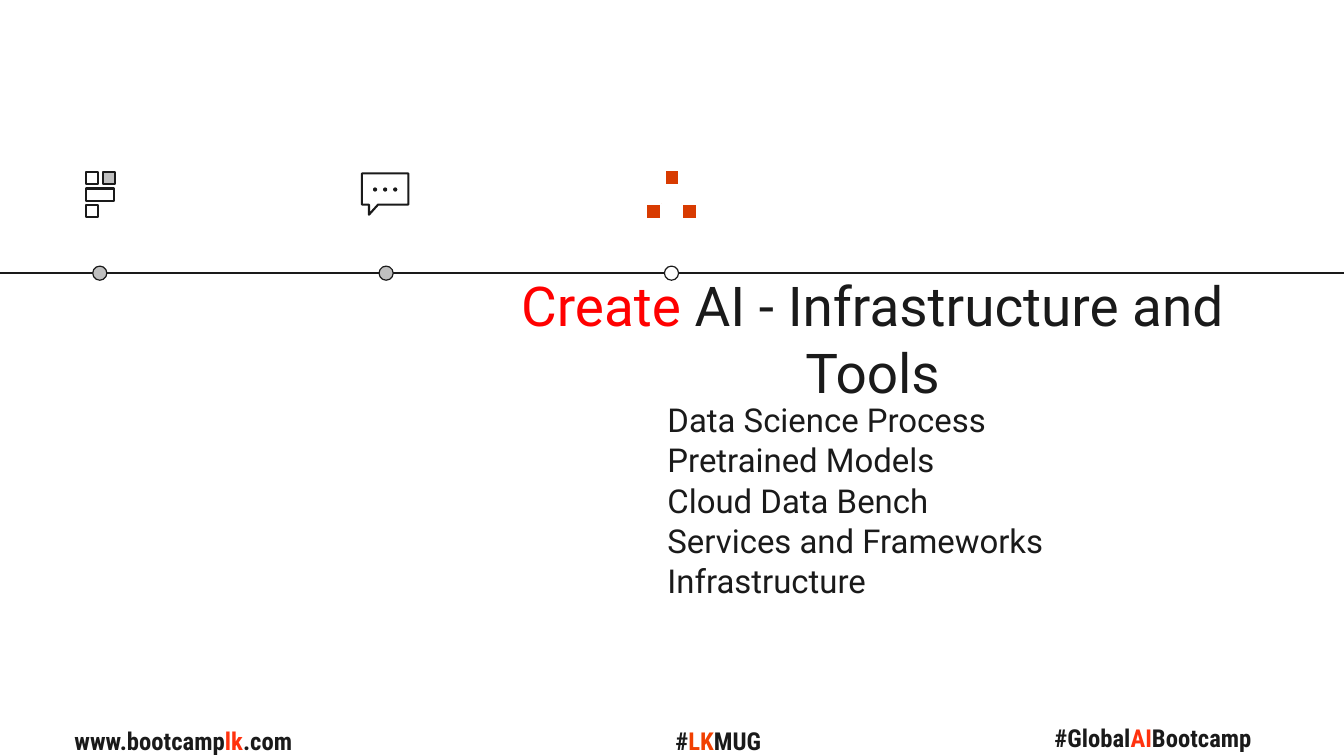
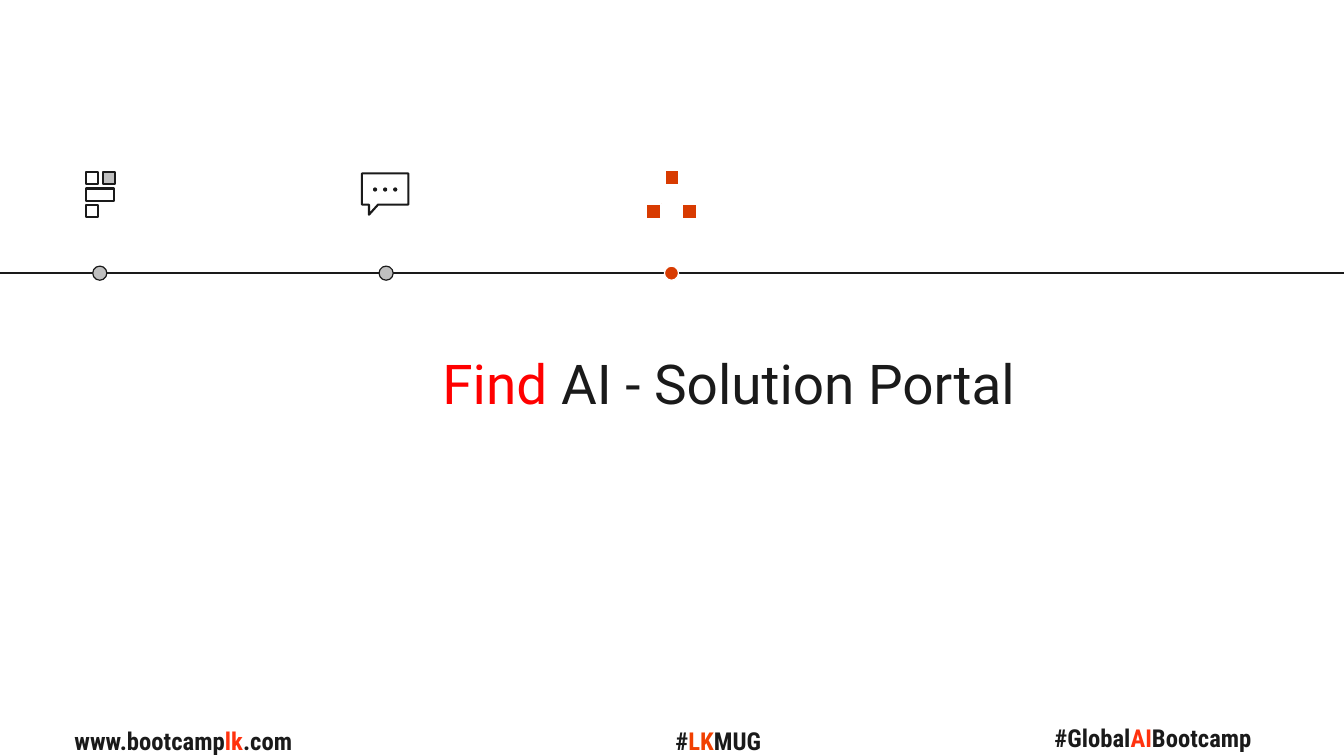
from lxml import etree
from pptx import Presentation
from pptx import util as u
from pptx.dml.color import RGBColor
from pptx.enum import shapes, text
from pptx.oxml import ns

INK = RGBColor(0x1A, 0x1A, 0x1A)
WHITE = RGBColor(0xFF, 0xFF, 0xFF)
GRAY = RGBColor(0xBF, 0xBF, 0xBF)
ORANGE = RGBColor(0xD8, 0x3B, 0x01)
RED = RGBColor(0xFF, 0x00, 0x00)
FOOTER_RED = RGBColor(0xFF, 0x32, 0x0E)
FOOTER_ORANGE = RGBColor(0xF1, 0x40, 0x01)

TITLE_LAYOUT, LIST_LAYOUT = 5, 1
LINE_Y = 2.71
DOT = 0.14
DOT_LEFTS = (0.92, 3.76, 6.59)
LINE_SPACING = 1.02

SLIDES = [
    {
        "title": ("Create", " AI - Infrastructure and Tools"),
        "title_box": (4.65, 2.75, 8.01, 1.2),
        "milestone": (WHITE, INK),
        "topics": [
            "Data Science Process",
            "Pretrained Models",
            "Cloud Data Bench",
            "Services and Frameworks",
            "Infrastructure",
        ],
    },
    {
        "title": ("Find", " AI - Solution Portal"),
        "title_box": (3.59, 3.55, 7.28, 0.48),
        "milestone": (ORANGE, WHITE),
        "topics": [],
    },
]

# Footer: left, top, width, wrap, then text and colour of each run
FOOTERS = [
    (0.64, 7.15, 3.5, True,
     [("www.bootcamp", INK), ("lk", FOOTER_RED), (".com", INK)]),
    (10.36, 7.12, 2.24, False,
     [("#Global", INK), ("AI", FOOTER_RED), ("Bootcamp", INK)]),
    (6.6, 7.15, 1.08, False,
     [("#", INK), ("LK", FOOTER_ORANGE), ("MUG", INK)]),
]


def style_shape(shape, fill, line, width):
    shape.shadow.inherit = False
    if fill is None:
        shape.fill.background()
    else:
        shape.fill.solid()
        shape.fill.fore_color.rgb = fill
    shape.line.color.rgb = line
    shape.line.width = u.Pt(width)


def write_runs(paragraph, runs, font_name, size, bold=False):
    paragraph.font.name = font_name
    paragraph.font.size = u.Pt(size)
    paragraph.font.bold = bold
    for words, color in runs:
        run = paragraph.add_run()
        run.text = words
        run.font.color.rgb = color


presentation = Presentation()
presentation.slide_width = u.Inches(13.33)
presentation.slide_height = u.Inches(7.5)
master_tree = presentation.slide_master.shapes.element

for number, content in enumerate(SLIDES):
    layout = LIST_LAYOUT if content["topics"] else TITLE_LAYOUT
    slide = presentation.slides.add_slide(presentation.slide_layouts[layout])

    # Footers, made once and moved to the master
    if number == 0:
        for left, top, width, wrap, runs in FOOTERS:
            footer = slide.shapes.add_textbox(
                u.Inches(left), u.Inches(top), u.Inches(width), u.Inches(0.4))
            footer.text_frame.word_wrap = wrap
            footer.text_frame.auto_size = text.MSO_AUTO_SIZE.SHAPE_TO_FIT_TEXT
            write_runs(footer.text_frame.paragraphs[0], runs,
                       "Roboto Condensed", 17.6, bold=True)
            master_tree.append(footer.element)

    # Title and list placeholders
    frames = [(slide.shapes.title, content["title_box"])]
    if content["topics"]:
        frames.append((slide.placeholders[1], (6.62, 3.97, 6.05, 1.97)))
    for placeholder, box in frames:
        placeholder.left, placeholder.top, placeholder.width, placeholder.height = map(
            u.Inches, box)
        frame = placeholder.text_frame
        frame.word_wrap = True
        frame.auto_size = text.MSO_AUTO_SIZE.NONE
        frame.vertical_anchor = text.MSO_ANCHOR.MIDDLE
        frame.margin_left = frame.margin_right = 0

    paragraph = slide.shapes.title.text_frame.paragraphs[0]
    paragraph.alignment = text.PP_ALIGN.CENTER
    paragraph.line_spacing = LINE_SPACING
    write_runs(paragraph, zip(content["title"], (RED, INK)), "Roboto", 39.2)

    for index, topic in enumerate(content["topics"]):
        frame = slide.placeholders[1].text_frame
        paragraph = frame.add_paragraph() if index else frame.paragraphs[0]
        paragraph.space_before = u.Pt(0)
        paragraph.line_spacing = LINE_SPACING
        properties = paragraph._p.get_or_add_pPr()
        properties.set("marL", "0")
        properties.set("indent", "0")
        etree.SubElement(properties, ns.qn("a:buNone"))
        write_runs(paragraph, [(topic, INK)], "Roboto", 23.5)

    # Timeline and its milestones
    timeline = slide.shapes.add_connector(
        shapes.MSO_CONNECTOR.STRAIGHT, 0, u.Inches(LINE_Y),
        presentation.slide_width, u.Inches(LINE_Y))
    timeline.line.color.rgb = INK
    timeline.line.width = u.Pt(1.25)
    etree.SubElement(timeline.element.spPr, ns.qn("a:effectLst"))

    # Dots and icon parts: preset, left, top, width, height, fill, line, line width
    oval, square = shapes.MSO_SHAPE.OVAL, shapes.MSO_SHAPE.RECTANGLE
    dot_colors = [(GRAY, INK), (GRAY, INK), content["milestone"]]
    parts = [(oval, left, LINE_Y - DOT / 2, DOT, DOT, fill, line, 0.85)
             for left, (fill, line) in zip(DOT_LEFTS, dot_colors)]
    # Tiles icon
    parts += [(square, left, top, width, 0.12, fill, INK, 1.5)
              for left, top, width, fill in [(0.85, 1.71, 0.12, None),
                                             (1.02, 1.71, 0.12, GRAY),
                                             (0.85, 1.87, 0.28, None),
                                             (0.85, 2.03, 0.12, None)]]
    # Three squares icon
    parts += [(square, left, top, 0.15, 0.15, ORANGE, WHITE, 1.5)
              for left, top in [(6.59, 1.69), (6.41, 2.02), (6.76, 2.02)]]
    # Dots in the speech bubble
    parts += [(oval, 3.71 + 0.1 * step, 1.87, 0.02, 0.02, None, INK, 1.5)
              for step in range(3)]
    for preset, left, top, width, height, fill, line, line_width in parts:
        shape = slide.shapes.add_shape(
            preset, u.Inches(left), u.Inches(top), u.Inches(width), u.Inches(height))
        style_shape(shape, fill, line, line_width)

    # Speech bubble outline
    corners = [(4.05, 1.72), (4.05, 2.03), (3.75, 2.03), (3.66, 2.13),
               (3.66, 2.03), (3.59, 2.03), (3.59, 1.72)]
    points = [(u.Inches(x), u.Inches(y)) for x, y in corners]
    builder = slide.shapes.build_freeform(*points[0])
    builder.add_line_segments(points[1:], close=True)
    style_shape(builder.convert_to_shape(), None, INK, 1.5)

presentation.save("out.pptx")
